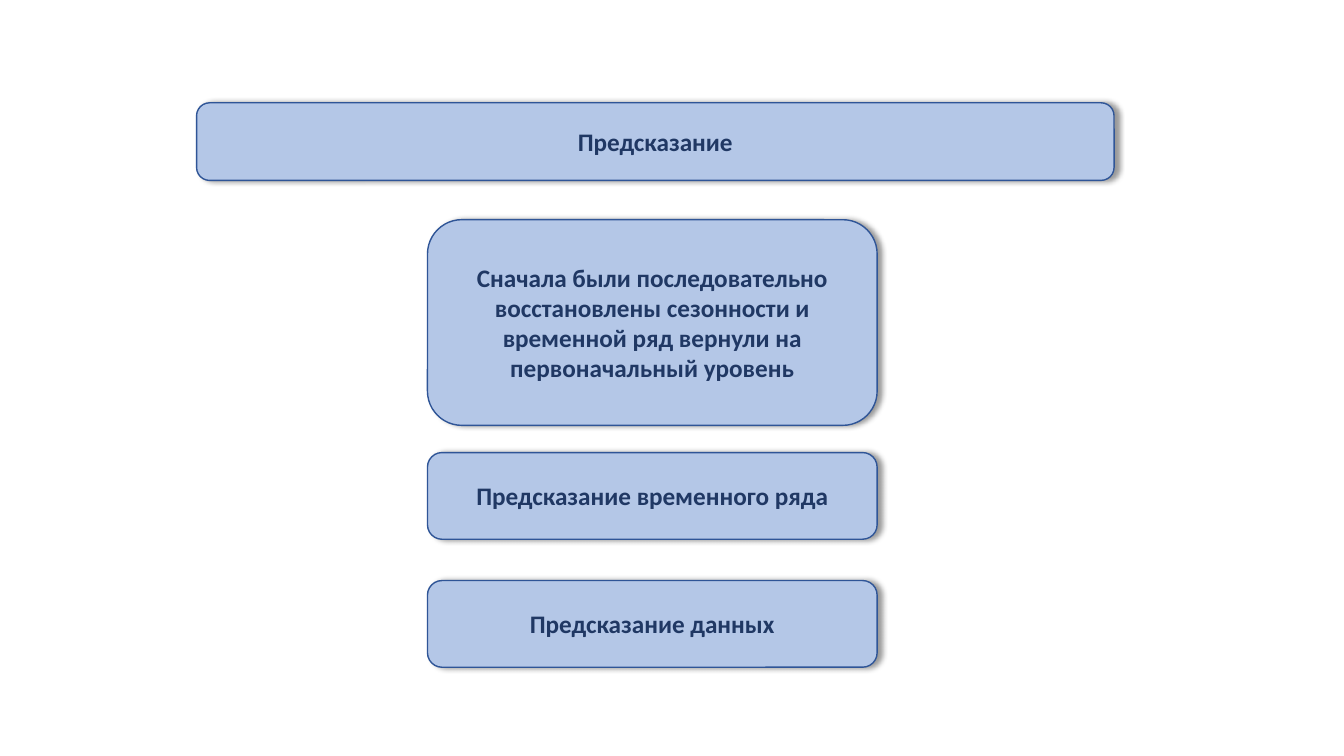
import pptx
import pptx.util
import pptx.dml.color
import pptx.enum.shapes
import pptx.enum.text
import pptx.oxml.ns
import lxml.etree

Inches = pptx.util.Inches
Pt = pptx.util.Pt
RGBColor = pptx.dml.color.RGBColor
qn = pptx.oxml.ns.qn

# Content: heading, then steps as (text, top, height)
HEADING = "Предсказание"
STEPS = [
    ("Сначала были последовательно восстановлены сезонности и "
     "временной ряд вернули на первоначальный уровень", 2.18, 2.04),
    ("Предсказание временного ряда", 4.49, 0.86),
    ("Предсказание данных", 5.76, 0.86),
]
STEP_LEFT, STEP_WIDTH = 4.24, 4.46

FILL = RGBColor(0xB4, 0xC7, 0xE7)
BORDER = RGBColor(0x2F, 0x55, 0x97)
INK = RGBColor(0x20, 0x38, 0x64)


def add_shadow(box):
    """Soft black shadow, 40 % opaque, cast to the right."""
    box.shadow.inherit = False
    effects = box._element.spPr.find(qn("a:effectLst"))
    shadow = lxml.etree.SubElement(
        effects, qn("a:outerShdw"), blurRad=str(Pt(4)), dist=str(Pt(3)),
        dir="0", algn="l", rotWithShape="0")
    color = lxml.etree.SubElement(shadow, qn("a:srgbClr"), val="000000")
    lxml.etree.SubElement(color, qn("a:alpha"), val="40000")


def add_box(page, text, left, top, width, height):
    box = page.shapes.add_shape(
        pptx.enum.shapes.MSO_SHAPE.ROUNDED_RECTANGLE,
        Inches(left), Inches(top), Inches(width), Inches(height))
    box.fill.solid()
    box.fill.fore_color.rgb = FILL
    box.line.color.rgb = BORDER
    box.line.width = Pt(1)
    add_shadow(box)

    frame = box.text_frame
    frame.word_wrap = True
    frame.vertical_anchor = pptx.enum.text.MSO_ANCHOR.MIDDLE
    para = frame.paragraphs[0]
    para.alignment = pptx.enum.text.PP_ALIGN.CENTER
    span = para.add_run()
    span.text = text
    span.font.name = "Calibri"
    span.font.size = Pt(18)
    span.font.bold = True
    span.font.color.rgb = INK


def main():
    deck = pptx.Presentation()
    deck.slide_width, deck.slide_height = Inches(13.33), Inches(7.5)
    page = deck.slides.add_slide(deck.slide_layouts[6])

    # Heading bar
    add_box(page, HEADING, 1.95, 1.02, 9.1, 0.77)

    # Column of steps
    for text, top, height in STEPS:
        add_box(page, text, STEP_LEFT, top, STEP_WIDTH, height)

    deck.save("out.pptx")


if __name__ == "__main__":
    main()
